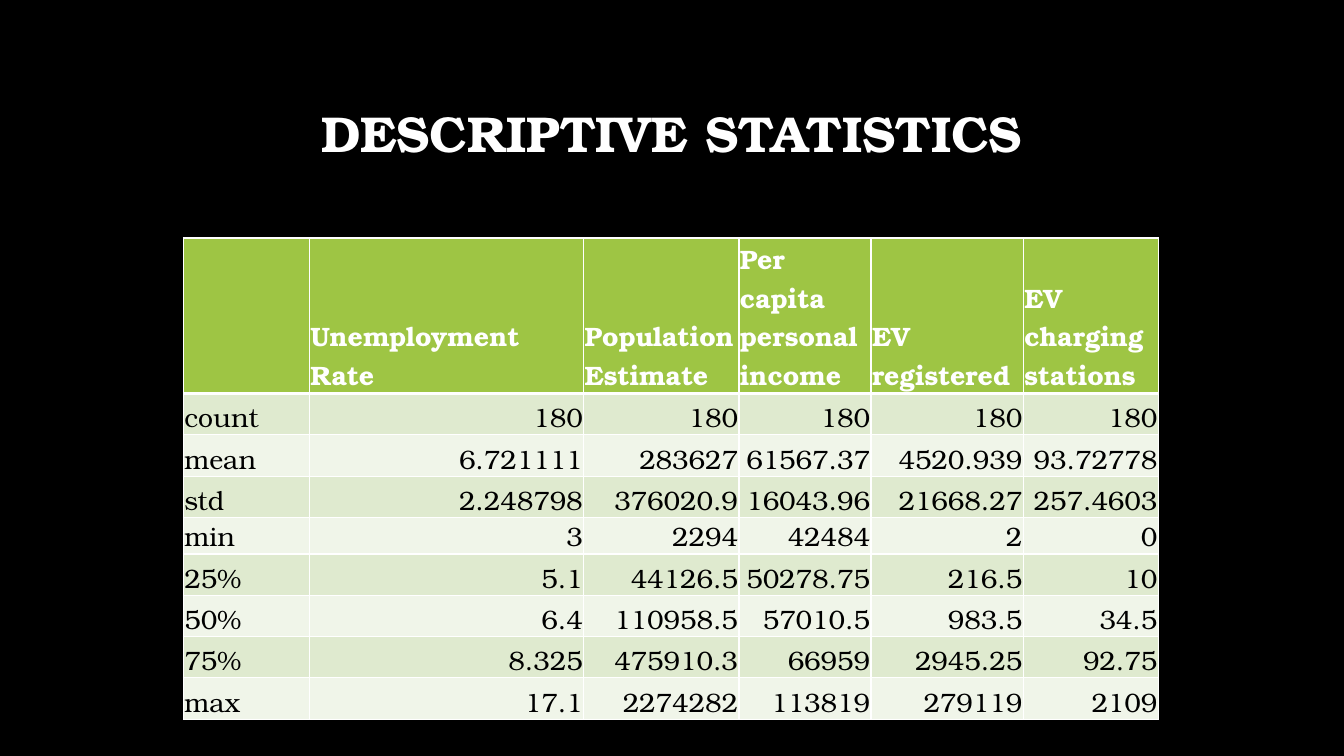
from lxml import etree
from pptx import Presentation
from pptx.dml.color import RGBColor
from pptx.enum.text import MSO_ANCHOR, PP_ALIGN
from pptx.oxml.ns import qn
from pptx.util import Inches, Pt

LEFT, CENTER, RIGHT = PP_ALIGN.LEFT, PP_ALIGN.CENTER, PP_ALIGN.RIGHT
BOTTOM = MSO_ANCHOR.BOTTOM
BLACK = RGBColor(0x00, 0x00, 0x00)
WHITE = RGBColor(0xFF, 0xFF, 0xFF)
GREEN = RGBColor(0x9E, 0xC5, 0x44)
BANDS = [RGBColor(0xF0, 0xF5, 0xE9), RGBColor(0xDF, 0xEA, 0xCF)]
FONT = "TeX Gyre Bonum"
SLIDE_WIDTH, SLIDE_HEIGHT = Inches(13.33), Inches(7.5)
TITLE_ONLY = 5

COLUMN_WIDTHS = [1.25, 2.72, 1.54, 1.31, 1.51, 1.34]
HEADER_HEIGHT, ROW_HEIGHT, MIN_ROW_HEIGHT = 1.05, 0.41, 0.07
THIN, THICK = 1, 3
STATISTICS = [
    ["", "Unemployment Rate", "Population Estimate", "Per capita personal income",
     "EV registered", "EV charging stations"],
    ["count", "180", "180", "180", "180", "180"],
    ["mean", "6.721111", "283627", "61567.37", "4520.939", "93.72778"],
    ["std", "2.248798", "376020.9", "16043.96", "21668.27", "257.4603"],
    ["min", "3", "2294", "42484", "2", "0"],
    ["25%", "5.1", "44126.5", "50278.75", "216.5", "10"],
    ["50%", "6.4", "110958.5", "57010.5", "983.5", "34.5"],
    ["75%", "8.325", "475910.3", "66959", "2945.25", "92.75"],
    ["max", "17.1", "2274282", "113819", "279119", "2109"],
]


def share(left, top, width, height):
    return (round(SLIDE_WIDTH * left / 100), round(SLIDE_HEIGHT * top / 100),
            round(SLIDE_WIDTH * width / 100), round(SLIDE_HEIGHT * height / 100))


def write(frame, text, size=19, color=BLACK, bold=False, align=LEFT, spacing=None):
    paragraph = frame.paragraphs[0]
    paragraph.alignment = align
    paragraph.line_spacing = spacing
    run = paragraph.add_run()
    run.text = text
    run.font.name = FONT
    run.font.size = Pt(size)
    run.font.bold = bold
    run.font.color.rgb = color


def add_title(slide, text):
    title = slide.shapes.title
    title.left, title.top, title.width, title.height = share(7.5, 8.53, 84.92, 13.73)
    title.text_frame.word_wrap = True
    title.text_frame.vertical_anchor = BOTTOM
    write(title.text_frame, text, size=36, color=WHITE, bold=True, align=CENTER, spacing=0.9)


def set_borders(cell, top, bottom):
    properties = cell._tc.get_or_add_tcPr()
    for side, weight in (("L", THIN), ("R", THIN), ("T", top), ("B", bottom)):
        line = etree.SubElement(properties, qn(f"a:ln{side}"), w=str(Pt(weight)))
        fill = etree.SubElement(line, qn("a:solidFill"))
        etree.SubElement(fill, qn("a:srgbClr"), val=str(WHITE))


def format_cell(cell, row, column, text):
    is_header = row == 0
    set_borders(cell, top=THICK if row == 1 else THIN, bottom=THICK if is_header else THIN)
    cell.fill.solid()
    cell.fill.fore_color.rgb = GREEN if is_header else BANDS[row % 2]
    if not text:
        return
    cell.vertical_anchor = BOTTOM
    cell.margin_left = cell.margin_right = cell.margin_top = Inches(0.01)
    cell.margin_bottom = 0
    write(cell.text_frame, text, color=WHITE if is_header else BLACK, bold=is_header,
          align=LEFT if is_header or column == 0 else RIGHT)


def add_statistics_table(slide):
    area = share(13.65, 31.47, 72.62, 59.2)
    frame = slide.shapes.add_table(len(STATISTICS), len(COLUMN_WIDTHS), *area)
    table = frame.table
    table.horz_banding = False
    for column, width in zip(table.columns, COLUMN_WIDTHS):
        column.width = Inches(width)
    for row, values in enumerate(STATISTICS):
        height = {"": HEADER_HEIGHT, "min": MIN_ROW_HEIGHT}.get(values[0], ROW_HEIGHT)
        table.rows[row].height = Inches(height)
        for column, text in enumerate(values):
            format_cell(table.cell(row, column), row, column, text)
    frame.height = area[3]


def main():
    presentation = Presentation()
    presentation.slide_width, presentation.slide_height = SLIDE_WIDTH, SLIDE_HEIGHT
    slide = presentation.slides.add_slide(presentation.slide_layouts[TITLE_ONLY])
    slide.background.fill.solid()
    slide.background.fill.fore_color.rgb = BLACK
    add_title(slide, "DESCRIPTIVE STATISTICS")
    add_statistics_table(slide)
    presentation.save("out.pptx")


if __name__ == "__main__":
    main()
